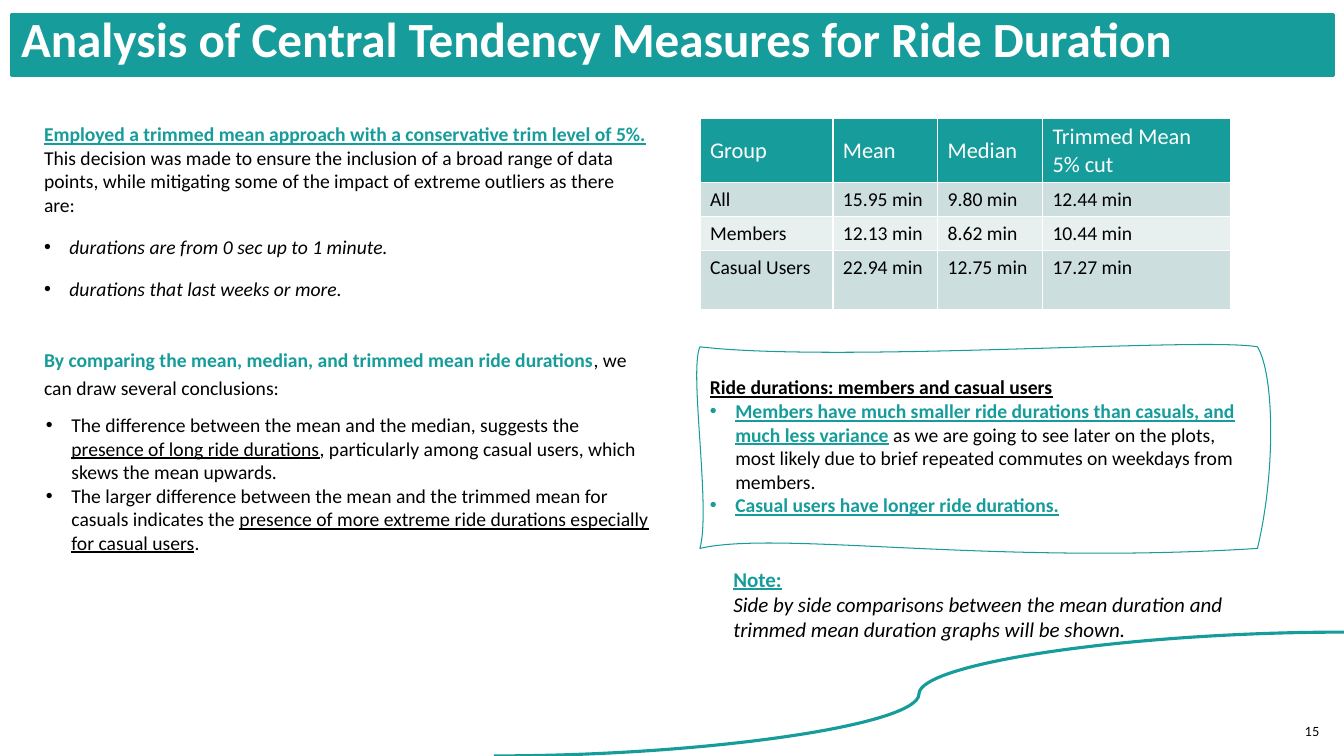
from dataclasses import dataclass
from lxml.etree import SubElement
from pptx import Presentation
from pptx.dml.color import RGBColor as RGB
from pptx.enum.shapes import MSO_CONNECTOR as Link
from pptx.enum.text import MSO_ANCHOR as Anchor, MSO_AUTO_SIZE as Fit, PP_ALIGN as Align
from pptx.oxml.ns import qn
from pptx.util import Cm, Pt


@dataclass(frozen=True)
class Theme:
    teal: RGB = RGB(0x16, 0x9C, 0x9A)
    ink: RGB = RGB(0, 0, 0)
    white: RGB = RGB(255, 255, 255)
    bands: tuple = (RGB(0xCC, 0xDE, 0xDE), RGB(0xE8, 0xEF, 0xEF))
    font: str = "Calibri"
    small: str = "Lato"
    title: float = 35.1
    head: float = 16
    note: float = 15
    body: float = 14
    page: float = 9


T = Theme()
KEY = dict(color=T.teal, bold=True)
LINK = dict(KEY, underline=True)
UNDER = dict(underline=True)
LEAD = Cm(0.72)

# Sides run clockwise from the top left. Each has two control points:
# share of the way along the side, and offset in cm away from it.
BAND = ((((0.42, -0.13), (0.62, 0.41)), ((0.43, 0.13), (0.75, 0.05)),
         ((0.28, 0.05), (0.88, 0.2)), ((0.23, -0.13), (0.77, -0.05))),
        (((0.25, -0.15), (0.67, 0.36)), ((0.11, -0.08), (0.52, 0.08)),
         ((0.23, -0.05), (0.53, 0.08)), ((0.13, 0), (0.87, -0.03))))
FRAME = ((((0.25, 0.41), (0.9, -0.25)), ((0.14, 0.43), (0.62, 0.46)),
          ((0.48, 0.43), (0.86, -0.46)), ((0.2, 0.28), (0.88, -0.28))),
         (((0.24, -0.36), (0.88, 0.43)), ((0.18, -0.18), (0.7, -0.23)),
          ((0.45, 0.13), (0.53, -0.43)), ((0.14, -0.3), (0.89, -0.08))))

ROWS = (("Group", "Mean", "Median", "Trimmed Mean 5% cut"),
        ("All", "15.95 min", "9.80 min", "12.44 min"),
        ("Members", "12.13 min", "8.62 min", "10.44 min"),
        ("Casual Users", "22.94 min", "12.75 min", "17.27 min"))


def write(par, *runs, bullet=False, align=None, space=None, before=None, **base):
    """Fill a paragraph with strings or (string, format) pairs; "\\n" breaks the line."""
    par.alignment = align
    if space:
        par.line_spacing = space
    if before:
        par.space_before = Pt(before)
    if bullet:
        props = par._p.get_or_add_pPr()
        props.set("marL", str(Cm(0.64)))
        props.set("indent", str(-Cm(0.64)))
        SubElement(props, qn("a:buFont")).set("typeface", "Arial")
        SubElement(props, qn("a:buChar")).set("char", "•")
    for item in runs:
        if item == "\n":
            par.add_line_break()
            continue
        words, extra = (item, {}) if isinstance(item, str) else item
        look = dict(size=T.body, name=T.font, color=T.ink) | base | extra
        run = par.add_run()
        run.text = words
        run.font.color.rgb = look.pop("color")
        run.font.size = Pt(look.pop("size"))
        for key, value in look.items():
            setattr(run.font, key, value)


def text(shape, *pars, top=Cm(0.13), anchor=Anchor.TOP):
    """Fill a shape; each paragraph is a (runs, format) pair."""
    frame = shape.text_frame
    frame.word_wrap = True
    frame.margin_top = top
    frame.vertical_anchor = anchor
    for i, (runs, look) in enumerate(pars):
        write(frame.add_paragraph() if i else frame.paragraphs[0], *runs, **look)


def wave(slide, box, loops):
    """Draw a box with curved sides: one loop for the line, one for the fill."""
    x, y, w, h = box
    ends = ((0, 0), (w, 0), (w, h), (0, h))
    pen = slide.shapes.build_freeform(x, y)
    pen.add_line_segments([(x + a, y + b) for a, b in ends[1:]], close=True)
    shape = pen.convert_to_shape()
    shape.shadow.inherit = False
    paths = shape._element.spPr.find(".//" + qn("a:pathLst"))
    paths.clear()
    for sides, (key, value) in zip(loops, (("fill", "none"), ("stroke", "0"))):
        loop = SubElement(paths, qn("a:path"), {"w": str(w), "h": str(h), key: value})

        def step(tag, *spots):
            node = SubElement(loop, qn(tag))
            for a, b in spots:
                SubElement(node, qn("a:pt"), x=str(round(a)), y=str(round(b)))

        step("a:moveTo", ends[0])
        for i, side in enumerate(sides):
            a, b = ends[i], ends[(i + 1) % 4]
            mids = []
            for share, off in side:
                spot = [p + (q - p) * share for p, q in zip(a, b)]
                spot[(i + 1) % 2] += Cm(off)
                mids.append(spot)
            step("a:cubicBezTo", *mids, b)
        step("a:close")
    return shape


def edge(shape, color, width):
    shape.line.color.rgb = color
    shape.line.width = Pt(width)


def swoop(slide, box):
    x, y, w, h = box
    curve = slide.shapes.add_connector(Link.CURVE, x, y + h, x + w, y)
    edge(curve, T.teal, 2.25)
    SubElement(curve._element.spPr, qn("a:effectLst"))


def banner(slide, box):
    """Give the title placeholder the outline of a brushed band."""
    title = slide.shapes.title
    title.left, title.top, title.width, title.height = box
    band = wave(slide, box, BAND)
    title._element.spPr.append(band._element.spPr.find(qn("a:custGeom")))
    tree = slide.shapes._spTree
    tree.remove(band._element)
    tree.append(title._element)
    title.fill.solid()
    title.fill.fore_color.rgb = T.teal
    edge(title, T.teal, 2.25)
    title.text_frame.auto_size = Fit.NONE
    title.text_frame.margin_bottom = Cm(0.23)
    text(title, (["Analysis of Central Tendency Measures for Ride Duration"],
                 dict(size=T.title, color=T.white, bold=True, space=0.8,
                      align=Align.LEFT)), anchor=Anchor.MIDDLE)


def method(slide, box):
    item = dict(bullet=True, space=1.2, before=10, italic=True)
    text(slide.shapes.add_textbox(*box),
         ([("Employed a trimmed mean approach with a conservative trim level of 5%.", LINK),
           " This decision was made to ensure the inclusion of a broad range of data points, "
           "while mitigating some of the impact of extreme outliers as there are:"], {}),
         (["durations are from 0 sec up to 1 minute."], item),
         (["durations that last weeks or more."], item),
         ([("By comparing the mean, median, and trimmed mean ride durations", KEY),
           ", we can draw several conclusions:"], dict(space=1.2, before=30)),
         top=LEAD)


def points(slide, box):
    item = dict(bullet=True)
    shape = slide.shapes.add_textbox(*box)
    edge(shape, T.white, 0.75)
    text(shape,
         (["The difference between the mean and the median, suggests the ",
           ("presence of long ride durations", UNDER),
           ", particularly among casual users, which skews the mean upwards."], item),
         (["The larger difference between the mean and the trimmed mean for casuals "
           "indicates the ",
           ("presence of more extreme ride durations especially for casual users", UNDER),
           "."], item))


def stats(slide, box):
    table = slide.shapes.add_table(len(ROWS), len(ROWS[0]), *box).table
    for col, width in zip(table.columns, (3.35, 2.64, 2.64, 4.73)):
        col.width = Cm(width)
    for row, height in zip(table.rows, (1.62, 0.86, 0.86, 1.48)):
        row.height = Cm(height)
    for r, row in enumerate(ROWS):
        for c, words in enumerate(row):
            cell = table.cell(r, c)
            cell.fill.solid()
            cell.fill.fore_color.rgb = T.bands[(r - 1) % 2] if r else T.teal
            cell.vertical_anchor = Anchor.TOP if r else Anchor.MIDDLE
            look = {} if r else dict(size=T.head, color=T.white, bold=False)
            write(cell.text_frame.paragraphs[0], words, **look)


def panel(slide, box):
    shape = wave(slide, box, FRAME)
    shape.fill.background()
    edge(shape, T.teal, 0.75)
    item = dict(bullet=True)
    text(shape,
         (["Ride durations: members and casual users"], dict(bold=True, underline=True)),
         ([("Members have much smaller ride durations than casuals, and much less variance",
            LINK),
           " as we are going to see later on the plots, most likely due to brief "
           "repeated commutes on weekdays from members."], item),
         ([("Casual users have longer ride durations.", LINK)], item), top=LEAD)


def note(slide, box):
    text(slide.shapes.add_textbox(*box),
         ([("Note:", LINK), "\n",
           ("Side by side comparisons between the mean duration and trimmed mean duration "
            "graphs will be shown.", dict(italic=True))], dict(size=T.note)))


def page(slide, box):
    text(slide.shapes.add_textbox(*box),
         (["15"], dict(size=T.page, name=T.small, align=Align.RIGHT)), anchor=Anchor.MIDDLE)


def main():
    deck = Presentation()
    deck.slide_width, deck.slide_height = Cm(33.87), Cm(19.05)
    slide = deck.slides.add_slide(deck.slide_layouts[5])
    for part, box in ((page, (32.31, 17.93, 1.19, 1.02)),
                      (swoop, (12.45, 15.93, 21.42, 3.12)),
                      (banner, (0.28, 0.36, 33.32, 1.55)),
                      (points, (0.91, 10.28, 15.75, 6.17)),
                      (panel, (17.64, 8.74, 14.05, 5.08)),
                      (stats, (17.64, 2.98, 13.36, 4.82)),
                      (note, (18.23, 14.14, 13.46, 2.18)),
                      (method, (0.86, 2.36, 15.75, 5.74))):
        part(slide, tuple(map(Cm, box)))
    deck.save("out.pptx")


if __name__ == "__main__":
    main()
